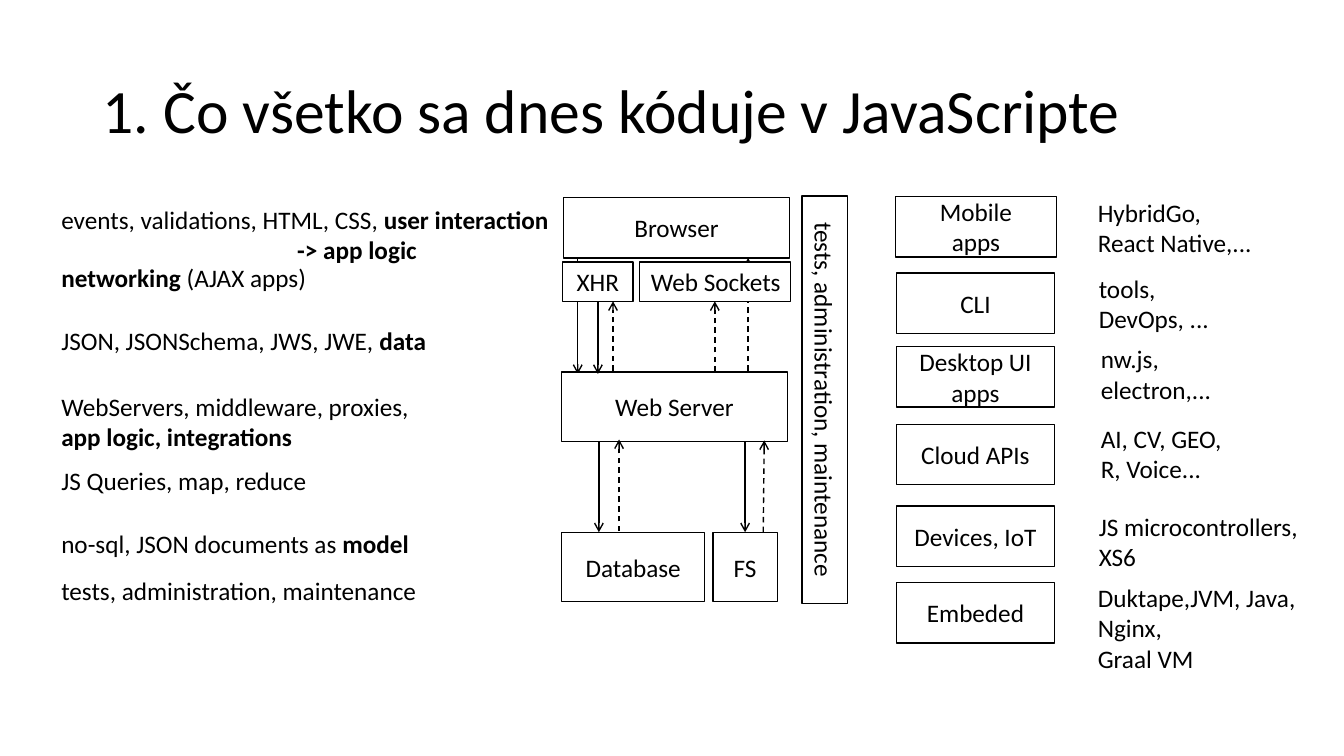
from lxml import etree
from pptx import Presentation
from pptx.dml.color import RGBColor
from pptx.enum.dml import MSO_LINE
from pptx.enum.shapes import MSO_CONNECTOR, MSO_SHAPE
from pptx.enum.text import MSO_ANCHOR as ANCHOR, MSO_AUTO_SIZE as AUTO, PP_ALIGN as ALIGN
from pptx.oxml.ns import qn
from pptx.util import Inches, Pt

COLORS = {"ink": "000000", "paper": "FFFFFF"}
FONT = "Calibri"
TOP, BOTTOM = 0, 2

# Left column: left, top, width, height, text (* switches bold)
TOPICS = [
    (0.51, 1.98, 5.06, 0.4, "events, validations, HTML, CSS, *user interaction"),
    (2.85, 2.28, 1.4, 0.4, "*-> app logic"),
    (0.51, 2.55, 2.65, 0.4, "*networking* (AJAX apps)"),
    (0.51, 3.18, 3.9, 0.4, "JSON, JSONSchema, JWS, JWE, *data"),
    (0.51, 3.83, 3.74, 0.71, "WebServers, middleware, proxies,\n*app logic, integrations"),
    (0.51, 4.57, 2.72, 0.4, "JS Queries, map, reduce"),
    (0.51, 5.19, 3.74, 0.4, "no-sql, JSON documents as *model"),
    (0.51, 5.66, 3.76, 0.4, "tests, administration, maintenance"),
]

# Architecture boxes: left, top, width, height
STACK = {
    "Browser": (5.59, 1.96, 2.24, 0.6),
    "Web Server": (5.57, 3.69, 2.24, 0.69),
    "XHR": (5.58, 2.6, 0.7, 0.39),
    "Web Sockets": (6.34, 2.6, 1.5, 0.39),
    "Database": (5.57, 5.28, 1.42, 0.69),
    "FS": (7.07, 5.28, 0.64, 0.69),
}

# Right columns: platform, box left, top, width; examples, left, top, width, height
PLATFORMS = [
    ("Mobile\napps", 8.88, 1.95, 1.6, "HybridGo,\nReact Native,...", 10.79, 1.91, 1.74, 0.71),
    ("CLI", 8.89, 2.71, 1.57, "tools,\nDevOps, ...", 10.8, 2.66, 1.3, 0.71),
    ("Desktop UI\napps", 8.89, 3.44, 1.57, "nw.js,\nelectron,...", 10.82, 3.36, 1.31, 0.71),
    ("Cloud APIs", 8.89, 4.21, 1.57, "AI, CV, GEO,\nR, Voice...", 10.82, 4.15, 1.47, 0.71),
    ("Devices, IoT", 8.89, 5.02, 1.57, "JS microcontrollers,\nXS6", 10.8, 5.02, 2.2, 0.71),
    ("Embeded", 8.89, 5.78, 1.57, "Duktape,JVM, Java, Nginx,\nGraal VM", 10.79, 5.73, 2.32, 1.01),
]


def color(name):
    return RGBColor.from_string(COLORS[name])


def write_text(sp, text, size=18, align=ALIGN.LEFT, anchor=ANCHOR.TOP, wrap=True,
               grow=False, spacing=None):
    tf = sp.text_frame
    tf.word_wrap = wrap
    tf.auto_size = AUTO.SHAPE_TO_FIT_TEXT if grow else AUTO.NONE
    tf.vertical_anchor = anchor
    for i, line in enumerate(text.split("\n")):
        p = tf.paragraphs[0] if i == 0 else tf.add_paragraph()
        p.alignment = align
        if spacing:
            p.line_spacing = spacing
        for j, part in enumerate(line.split("*")):
            if part:
                r = p.add_run()
                r.text = part
                r.font.name = FONT
                r.font.size = Pt(size)
                r.font.bold = j % 2 == 1
                r.font.color.rgb = color("ink")


def add_label(slide, left, top, width, height, text, **fmt):
    sp = slide.shapes.add_textbox(*map(Inches, (left, top, width, height)))
    write_text(sp, text, **fmt)


def add_box(slide, left, top, width, height, text):
    sp = slide.shapes.add_shape(MSO_SHAPE.RECTANGLE, *map(Inches, (left, top, width, height)))
    sp.shadow.inherit = False
    sp.fill.solid()
    sp.fill.fore_color.rgb = color("paper")
    sp.line.color.rgb = color("ink")
    sp.line.width = Pt(1)
    write_text(sp, text, align=ALIGN.CENTER, anchor=ANCHOR.MIDDLE)
    return sp


def add_arrow(slide, x1, y1, x2, y2, dashed=False, begin=None, end=None):
    cx = slide.shapes.add_connector(MSO_CONNECTOR.STRAIGHT, *map(Inches, (x1, y1, x2, y2)))
    cx.line.color.rgb = color("ink")
    cx.line.width = Pt(1)
    if dashed:
        cx.line.dash_style = MSO_LINE.DASH
    etree.SubElement(cx.line._get_or_add_ln(), qn("a:tailEnd"), type="arrow")
    etree.SubElement(cx._element.spPr, qn("a:effectLst"))
    if begin:
        cx.begin_connect(*begin)
    if end:
        cx.end_connect(*end)


def main():
    prs = Presentation()
    prs.slide_width, prs.slide_height = Inches(13.33), Inches(7.5)
    slide = prs.slides.add_slide(prs.slide_layouts[6])

    # Title
    add_label(slide, 0.92, 0.4, 11.5, 1.45, "1. Čo všetko sa dnes kóduje v JavaScripte",
              size=44, anchor=ANCHOR.MIDDLE, spacing=0.9)

    # Browser and server traffic, passing behind the boxes
    add_arrow(slide, 5.73, 2.56, 5.73, 3.71)
    add_arrow(slide, 7.42, 3.68, 7.42, 2.56, dashed=True)

    # Architecture stack
    boxes = {name: add_box(slide, *place, name) for name, place in STACK.items()}
    boxes["Web Sockets"].text_frame.margin_right = Inches(0.08)
    side_bar = add_box(slide, 6.16, 3.74, 4.04, 0.45, "tests, administration, maintenance")
    side_bar.rotation = 90

    # Requests and responses
    add_arrow(slide, 5.93, 2.99, 5.93, 3.71, begin=(boxes["XHR"], BOTTOM))
    add_arrow(slide, 6.08, 3.68, 6.08, 2.99, dashed=True)
    add_arrow(slide, 7.09, 3.69, 7.09, 2.99, dashed=True, end=(boxes["Web Sockets"], BOTTOM))
    add_arrow(slide, 5.94, 4.38, 5.94, 5.28)
    add_arrow(slide, 6.14, 5.27, 6.14, 4.36, dashed=True)
    add_arrow(slide, 7.39, 4.38, 7.39, 5.28, end=(boxes["FS"], TOP))
    add_arrow(slide, 7.57, 5.28, 7.58, 4.37, dashed=True)

    # Topics on the left
    for *place, text in TOPICS:
        add_label(slide, *place, text, wrap=False, grow=True)

    # Platforms and their examples on the right
    for name, left, top, width, examples, *place in PLATFORMS:
        add_box(slide, left, top, width, 0.6, name)
        add_label(slide, *place, examples, wrap=name == "Embeded", grow=True)

    prs.save("out.pptx")


if __name__ == "__main__":
    main()
